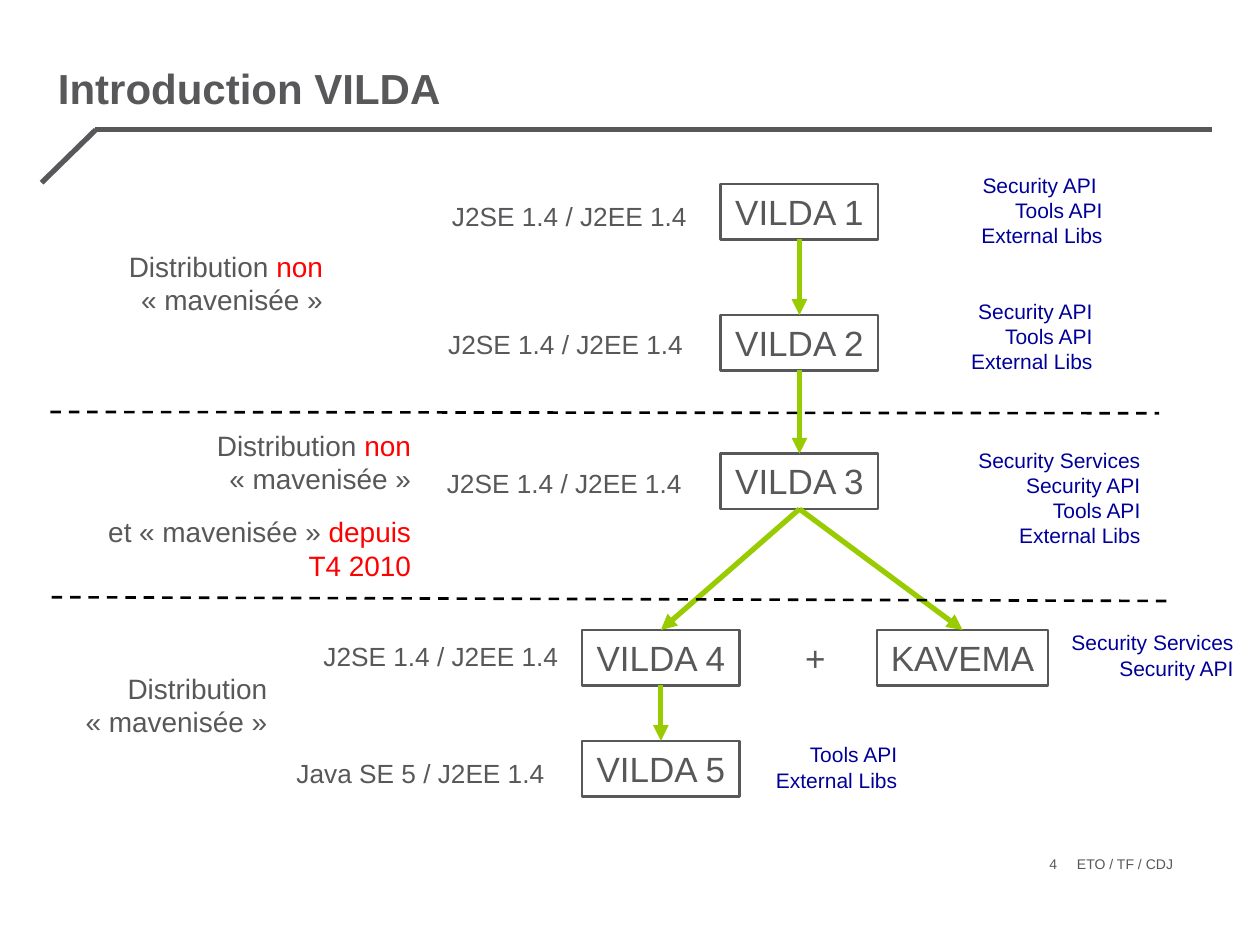
from pptx import Presentation
from pptx.dml.color import RGBColor
from pptx.enum.dml import MSO_LINE
from pptx.enum.shapes import MSO_CONNECTOR, MSO_SHAPE
from pptx.enum.text import MSO_ANCHOR, MSO_AUTO_SIZE, PP_ALIGN
from pptx.oxml.ns import qn
from pptx.util import Inches, Pt
from lxml import etree

STRAIGHT = MSO_CONNECTOR.STRAIGHT
RECTANGLE = MSO_SHAPE.RECTANGLE
TOP, MIDDLE = MSO_ANCHOR.TOP, MSO_ANCHOR.MIDDLE
GROW, FIXED = MSO_AUTO_SIZE.SHAPE_TO_FIT_TEXT, MSO_AUTO_SIZE.NONE
LEFT, CENTER, RIGHT = PP_ALIGN.LEFT, PP_ALIGN.CENTER, PP_ALIGN.RIGHT
DASH = MSO_LINE.DASH
TOP_SIDE, BOTTOM_SIDE = 0, 2

GREY, RED, BLUE, GREEN, BLACK = "58585A", "FF0000", "000099", "99CC00", "000000"
PRODUCT = "VILDA"
PLATFORM = "J2SE 1.4 / J2EE 1.4"
MAVEN = "«\u00a0mavenisée\u00a0»"


def color(value):
    return RGBColor.from_string(value)


def set_frame(frame, wrap=False, anchor=TOP, insets=(0.1, 0.05), fit=GROW):
    side, end = (Inches(inset) for inset in insets)
    values = {"word_wrap": wrap, "vertical_anchor": anchor, "auto_size": fit,
              "margin_left": side, "margin_right": side,
              "margin_top": end, "margin_bottom": end}
    for name, value in values.items():
        setattr(frame, name, value)


def add_span(para, text, size, ink, bold=False):
    """Add text to a paragraph; each newline becomes a line break."""
    for index, line in enumerate(text.split("\n")):
        if index:
            para.add_line_break()
        span = para.add_run()
        span.text = line
        values = {"name": "Arial", "size": Pt(size), "bold": bold}
        for name, value in values.items():
            setattr(span.font, name, value)
        span.font.color.rgb = color(ink)


def write(frame, paragraphs, size, align=RIGHT, bold=False, gap=0):
    """Fill a frame from paragraphs, each a list of (text, colour)."""
    for index, spans in enumerate(paragraphs):
        para = frame.add_paragraph() if index else frame.paragraphs[0]
        para.alignment = align
        para.space_before = Pt(gap if index else 0)
        for text, ink in spans:
            add_span(para, text, size, ink, bold)


def add_label(page, place, paragraphs, size, align=RIGHT, gap=0, **layout):
    box = page.shapes.add_textbox(*map(Inches, place))
    set_frame(box.text_frame, **layout)
    write(box.text_frame, paragraphs, size, align, gap=gap)


def add_version(page, name, left, top, width=1.25):
    box = page.shapes.add_shape(RECTANGLE, *map(Inches, (left, top, width, 0.44)))
    box.shadow.inherit = False
    box.fill.background()
    box.line.color.rgb = color(GREY)
    box.line.width = Pt(1.5)
    set_frame(box.text_frame, fit=FIXED)
    write(box.text_frame, [[(name, GREY)]], 20, CENTER)
    return box


def add_line(page, start, end, ink, width, dash=None):
    line = page.shapes.add_connector(STRAIGHT, *map(Inches, start + end))
    line.line.color.rgb = color(ink)
    line.line.width = Pt(width)
    if dash:
        line.line.dash_style = dash
    etree.SubElement(line._element.spPr, qn("a:effectLst"))
    return line


def add_arrow(page, source, target):
    arrow = add_line(page, (0, 0), (1, 1), GREEN, 3)
    arrow.begin_connect(source, BOTTOM_SIDE)
    arrow.end_connect(target, TOP_SIDE)
    etree.SubElement(arrow.line._get_or_add_ln(), qn("a:tailEnd"), type="triangle")


def add_title(page, text):
    title = page.shapes.title
    place = {"left": 0.46, "top": 0.39, "width": 9.16, "height": 0.61}
    for name, value in place.items():
        setattr(title, name, Inches(value))
    set_frame(title.text_frame, wrap=True, anchor=MIDDLE, insets=(0, 0.05), fit=FIXED)
    write(title.text_frame, [[(text, GREY)]], 24, LEFT, bold=True)


def main():
    deck = Presentation()
    deck.slide_width, deck.slide_height = Inches(10), Inches(7.5)
    page = deck.slides.add_slide(deck.slide_layouts[5])

    # Title, rule below it and footer
    add_title(page, f"Introduction {PRODUCT}")
    add_line(page, (9.62, 1.03), (0.75, 1.03), GREY, 3)
    add_line(page, (0.33, 1.45), (0.76, 1.03), GREY, 3)
    footer = {"anchor": MIDDLE, "insets": (0, 0), "fit": FIXED}
    add_label(page, (8.48, 6.76, 0.9, 0.2), [[("ETO / TF / CDJ", GREY)]], 8, CENTER, **footer)
    add_label(page, (5.85, 6.76, 2.54, 0.2), [[("4", GREY)]], 8, **footer)

    # Versions and the arrows between them
    places = [(5.72, 1.46), (5.72, 2.5), (5.72, 3.6), (4.62, 5), (4.62, 5.88)]
    first, second, third, fourth, fifth = [
        add_version(page, f"{PRODUCT} {number}", left, top)
        for number, (left, top) in enumerate(places, 1)]
    partner = add_version(page, "KAVEMA", 6.96, 5, 1.36)
    for source, target in [(first, second), (second, third), (third, fourth),
                           (third, partner), (fourth, fifth)]:
        add_arrow(page, source, target)
    add_label(page, (6.18, 5, 0.47, 0.44), [[("+", GREY)]], 20, wrap=True)

    # Contents of each version
    for left, top, width, height, text in [
        (7.67, 1.32, 1.18, 0.7, "Security API \nTools API\nExternal Libs"),
        (7.59, 2.32, 1.18, 0.7, "Security API\nTools API\nExternal Libs"),
        (7.64, 3.5, 1.51, 0.9, "Security Services\nSecurity API\nTools API\nExternal Libs"),
        (6.04, 5.84, 1.18, 0.5, "Tools API\nExternal Libs"),
        (8.38, 4.95, 1.51, 0.5, "Security Services\nSecurity API"),
    ]:
        add_label(page, (left, top, width, height), [[(text, BLUE)]], 12)

    # Separators between the distribution modes
    add_line(page, (0.4, 3.27), (9.2, 3.28), BLACK, 1.5, DASH)
    add_line(page, (0.41, 4.74), (9.28, 4.77), BLACK, 1.5, DASH)

    # Distribution modes
    not_maven = [("Distribution ", GREY), ("non", RED), (f" {MAVEN}", GREY)]
    since = [(f"et {MAVEN} ", GREY), ("depuis T4 2010", RED)]
    add_label(page, (0.64, 1.93, 2.02, 0.64), [not_maven], 16, wrap=True)
    add_label(page, (0.55, 3.35, 2.81, 1.32), [not_maven, since], 16, gap=11, wrap=True)
    add_label(page, (0.58, 5.28, 1.64, 0.64), [[(f"Distribution\n{MAVEN}", GREY)]], 16)

    # Java platforms
    for left, top, width, text in [
        (3.47, 1.54, 2.08, PLATFORM),
        (3.44, 2.56, 2.08, PLATFORM),
        (3.43, 3.66, 2.08, PLATFORM),
        (2.45, 5.03, 2.08, PLATFORM),
        (2.23, 5.96, 2.19, "Java SE 5 / J2EE 1.4"),
    ]:
        add_label(page, (left, top, width, 0.35), [[(text, GREY)]], 15)

    deck.save("out.pptx")


if __name__ == "__main__":
    main()
